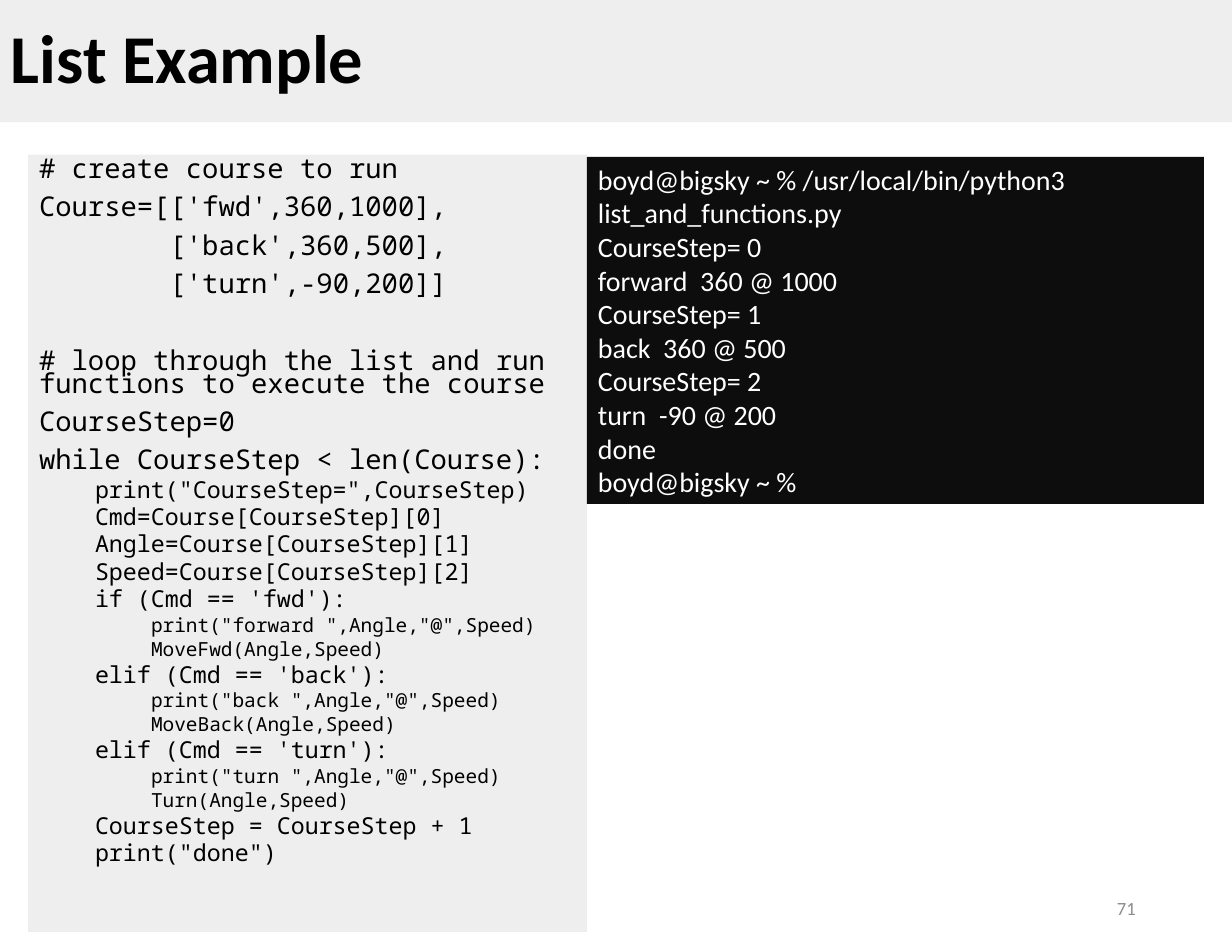
from pptx import Presentation
from pptx.dml.color import RGBColor
from pptx.enum.shapes import MSO_SHAPE
from pptx.enum.text import MSO_ANCHOR, PP_ALIGN
from pptx.util import Inches, Pt

RECTANGLE = MSO_SHAPE.RECTANGLE
TOP, MIDDLE = MSO_ANCHOR.TOP, MSO_ANCHOR.MIDDLE
LEFT, RIGHT = PP_ALIGN.LEFT, PP_ALIGN.RIGHT

COLORS = {"panel": "EEEEEE", "terminal": "0D0D0D", "ink": "000000",
          "light": "FFFFFF", "number": "8C8C8C"}
BODY_FONT, CODE_FONT = "Calibri", "Noto Sans Mono"
LEVEL_SIZES = (17.5, 15, 12.5)
LEVEL_GAPS = (10, 5, 5)
SECTION_GAP = 24.7

# Each section is a list of (indent level, code line).
CODE_SECTIONS = [
    [
        (0, "# create course to run"),
        (0, "Course=[['fwd',360,1000],"),
        (0, "        ['back',360,500],"),
        (0, "        ['turn',-90,200]]"),
    ],
    [
        (0, "# loop through the list and run functions to execute the course"),
        (0, "CourseStep=0"),
        (0, "while CourseStep < len(Course):"),
        (1, 'print("CourseStep=",CourseStep)'),
        (1, "Cmd=Course[CourseStep][0]"),
        (1, "Angle=Course[CourseStep][1]"),
        (1, "Speed=Course[CourseStep][2]"),
        (1, "if (Cmd == 'fwd'):"),
        (2, 'print("forward ",Angle,"@",Speed)'),
        (2, "MoveFwd(Angle,Speed)"),
        (1, "elif (Cmd == 'back'):"),
        (2, 'print("back ",Angle,"@",Speed)'),
        (2, "MoveBack(Angle,Speed)"),
        (1, "elif (Cmd == 'turn'):"),
        (2, 'print("turn ",Angle,"@",Speed)'),
        (2, "Turn(Angle,Speed)"),
        (1, "CourseStep = CourseStep + 1"),
        (1, 'print("done")'),
    ],
]
TERMINAL_LINES = [
    "boyd@bigsky ~ % /usr/local/bin/python3 list_and_functions.py",
    "CourseStep= 0",
    "forward  360 @ 1000",
    "CourseStep= 1",
    "back  360 @ 500",
    "CourseStep= 2",
    "turn  -90 @ 200",
    "done",
    "boyd@bigsky ~ %",
]


def write(box, text, size=18, font=BODY_FONT, color="ink", bold=False,
          align=LEFT, spacing=1.0, before=0, indent=0):
    """Put text in the box's empty first paragraph, or in a new one."""
    frame = box.text_frame
    first = frame.paragraphs[0]
    para = first if not first.runs else frame.add_paragraph()
    para.alignment = align
    para.line_spacing = spacing
    para.space_before = Pt(before)
    if indent:
        para._p.get_or_add_pPr().set("marL", str(Inches(indent)))
    span = para.add_run()
    span.text = text
    span.font.name = font
    span.font.size = Pt(size)
    span.font.bold = bold
    span.font.color.rgb = RGBColor.from_string(COLORS[color])


class SlideBuilder:
    def __init__(self, page):
        self.page = page

    def panel(self, left, top, width, height, fill, anchor=TOP):
        box = self.page.shapes.add_shape(
            RECTANGLE, Inches(left), Inches(top), Inches(width), Inches(height))
        box.shadow.inherit = False
        box.fill.solid()
        box.fill.fore_color.rgb = RGBColor.from_string(COLORS[fill])
        box.line.fill.background()
        box.text_frame.word_wrap = True
        box.text_frame.vertical_anchor = anchor
        return box

    def label(self, left, top, width, height, text, **style):
        box = self.page.shapes.add_textbox(
            Inches(left), Inches(top), Inches(width), Inches(height))
        box.text_frame.word_wrap = True
        box.text_frame.vertical_anchor = MIDDLE
        write(box, text, **style)

    def code(self, box, sections):
        for section_index, section in enumerate(sections):
            for line_index, (level, text) in enumerate(section):
                before = LEVEL_GAPS[level]
                if line_index == 0:
                    before = before + SECTION_GAP if section_index else 0
                write(box, text, size=LEVEL_SIZES[level], font=CODE_FONT,
                      spacing=0.7, before=before, indent=level * 0.5)


def main():
    deck = Presentation()
    deck.slide_width, deck.slide_height = Inches(11), Inches(8.5)
    builder = SlideBuilder(deck.slides.add_slide(deck.slide_layouts[6]))

    title = builder.panel(0, 0, 11, 1.09, "panel", anchor=MIDDLE)
    write(title, "List Example", size=44, bold=True, spacing=0.9)

    listing = builder.panel(0.25, 1.38, 4.99, 6.94, "panel")
    builder.code(listing, CODE_SECTIONS)

    terminal = builder.panel(5.24, 1.4, 5.51, 3.1, "terminal")
    for line in TERMINAL_LINES:
        write(terminal, line, color="light")

    builder.label(7.77, 7.88, 2.47, 0.45, "71", size=12, color="number",
                  align=RIGHT)
    deck.save("out.pptx")


if __name__ == "__main__":
    main()
